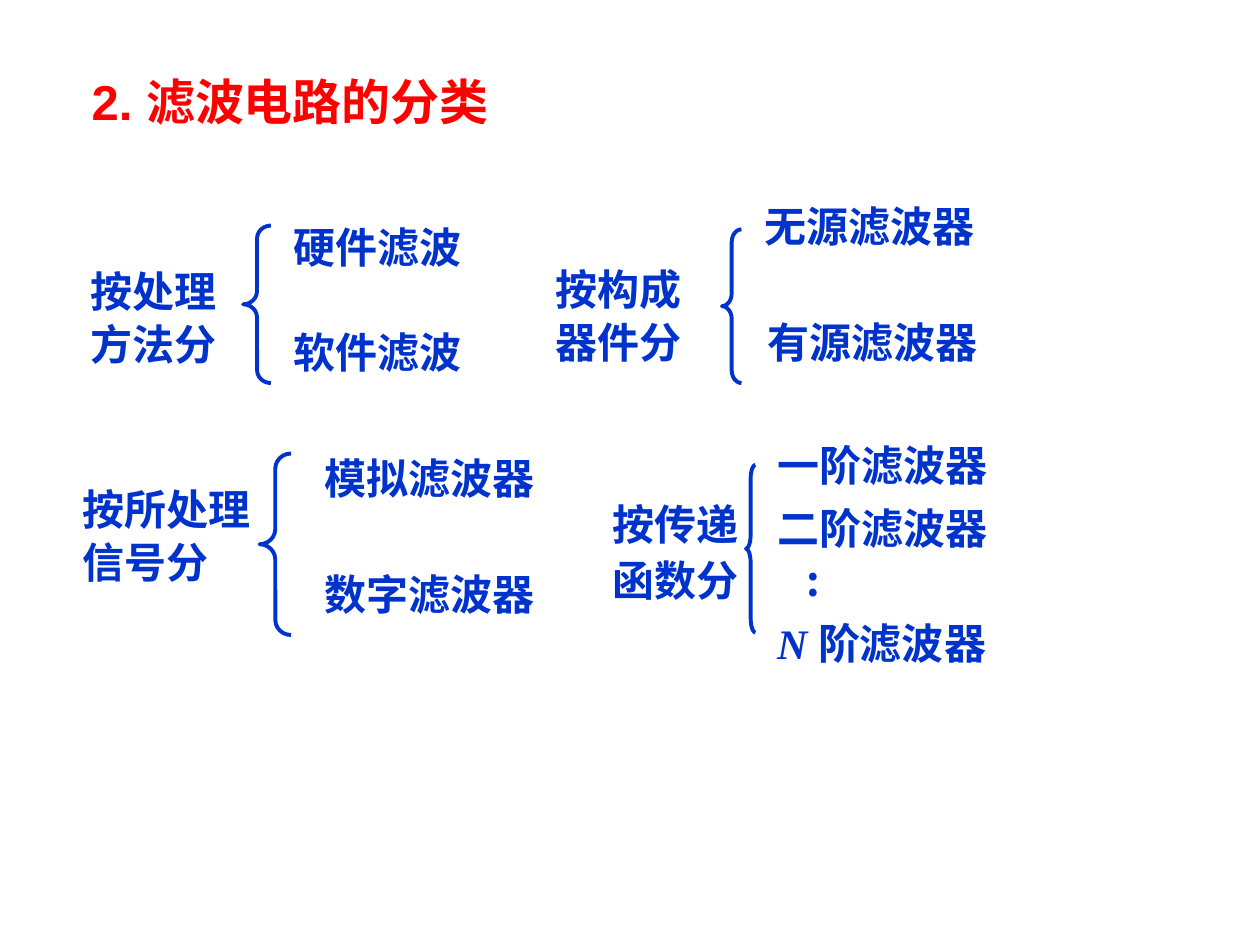
from dataclasses import dataclass

import pptx
import pptx.dml.color
import pptx.enum.shapes
import pptx.enum.text
import pptx.oxml
import pptx.oxml.ns
import pptx.util

# The slide is a grid of square cells
COLUMNS, ROWS = 100, 75
CELL = pptx.util.Inches(0.1)

COLORS = {"title": "FF0000", "body": "0033CC"}
CJK_FONT = "Noto Sans CJK SC"
LATIN_FONT = "Arial"
MATH_FONT = "Times New Roman"
LINE_ROWS = 5
BODY_SIZE = 24


@dataclass(frozen=True)
class Run:
    text: str
    font: str = CJK_FONT
    italic: bool = False


@dataclass(frozen=True)
class Item:
    """One line of text; several runs when the fonts differ."""
    runs: tuple[Run, ...]
    column: float
    row: float
    columns: float = 20
    wrap: bool = True


@dataclass(frozen=True)
class Label:
    lines: tuple[str, ...]
    column: float
    row: float
    columns: float
    rows: float = 9.4
    spacing: float = 1.05


@dataclass(frozen=True)
class Brace:
    column: float
    row: float
    columns: float
    rows: float


@dataclass(frozen=True)
class Category:
    label: Label
    brace: Brace
    items: tuple[Item, ...]


def item(text: str, column: float, row: float, columns: float = 20) -> Item:
    return Item((Run(text),), column, row, columns)


CATEGORIES = (
    Category(
        Label(("按处理", "方法分"), 6.2, 20.4, 16.9),
        Brace(19.3, 17.9, 2.2, 12.5),
        (item("硬件滤波", 22.3, 17.1, 18.3), item("软件滤波", 22.3, 25.4, 16.2)),
    ),
    Category(
        Label(("按所处理", "信号分"), 5.6, 37.7, 17.7),
        Brace(20.6, 36, 2.5, 14.4),
        (item("模拟滤波器", 24.8, 35.4), item("数字滤波器", 24.8, 44.6)),
    ),
    Category(
        Label(("按构成", "器件分"), 43.1, 20.2, 13.9),
        Brace(57.3, 18.2, 1.55, 12.2),
        (item("无源滤波器", 59.7, 15.4, 19.2), item("有源滤波器", 59.9, 24.6, 20.8)),
    ),
    Category(
        Label(("按传递", "函数分"), 47.6, 38.7, 13.1, 9.8, 1.1),
        Brace(59.2, 36.9, 0.75, 13.3),
        (
            item("一阶滤波器", 60.7, 34.4, 20.8),
            item("二阶滤波器", 60.7, 39.4, 19.2),
            Item((Run(":"),), 63, 43.5, 3.6, wrap=False),
            Item((Run("N ", MATH_FONT, True), Run("阶滤波器", MATH_FONT)), 60.7, 48.5),
        ),
    ),
)


def cells(*counts: float) -> list[int]:
    return [round(count * CELL) for count in counts]


def add_frame(slide, column: float, row: float, columns: float, rows: float, wrap: bool):
    frame = slide.shapes.add_textbox(*cells(column, row, columns, rows)).text_frame
    frame.word_wrap = wrap
    frame.auto_size = pptx.enum.text.MSO_AUTO_SIZE.SHAPE_TO_FIT_TEXT
    return frame


def add_run(paragraph, content: Run, color: str, size: float) -> None:
    run = paragraph.add_run()
    run.text = content.text
    formats = {
        "name": content.font,
        "size": pptx.util.Pt(size),
        "bold": True,
        "italic": content.italic,
    }
    for name, value in formats.items():
        setattr(run.font, name, value)
    run.font.color.rgb = pptx.dml.color.RGBColor.from_string(COLORS[color])
    # Chinese characters take their own typeface
    east_asian = pptx.oxml.parse_xml(
        f'<a:ea {pptx.oxml.ns.nsdecls("a")} typeface="{CJK_FONT}"/>'
    )
    run.font._element.find(pptx.oxml.ns.qn("a:latin")).addnext(east_asian)


def draw_item(slide, line: Item, color: str = "body", size: float = BODY_SIZE,
              rows: float = LINE_ROWS) -> None:
    frame = add_frame(slide, line.column, line.row, line.columns, rows, line.wrap)
    for run in line.runs:
        add_run(frame.paragraphs[0], run, color, size)


def draw_label(slide, label: Label) -> None:
    frame = add_frame(slide, label.column, label.row, label.columns, label.rows, True)
    for index, line in enumerate(label.lines):
        paragraph = frame.add_paragraph() if index else frame.paragraphs[0]
        paragraph.alignment = pptx.enum.text.PP_ALIGN.JUSTIFY
        paragraph.line_spacing = label.spacing
        add_run(paragraph, Run(line), "body", BODY_SIZE)


def draw_brace(slide, brace: Brace) -> None:
    shape = slide.shapes.add_shape(
        pptx.enum.shapes.MSO_SHAPE.LEFT_BRACE,
        *cells(brace.column, brace.row, brace.columns, brace.rows),
    )
    # Each curve takes a twelfth of the height
    shape.adjustments[0] = brace.rows / 12 / brace.columns
    shape.shadow.inherit = False
    shape.fill.background()
    shape.line.color.rgb = pptx.dml.color.RGBColor.from_string(COLORS["body"])
    shape.line.width = pptx.util.Pt(2.25)


def main() -> None:
    presentation = pptx.Presentation()
    presentation.slide_width = COLUMNS * CELL
    presentation.slide_height = ROWS * CELL
    slide = presentation.slides.add_slide(presentation.slide_layouts[6])

    # Title
    title = Item((Run("2. 滤波电路的分类", LATIN_FONT),), 6.3, 5.2, 34.4, wrap=False)
    draw_item(slide, title, "title", 28, 5.7)

    # Four ways of classifying
    for category in CATEGORIES:
        draw_label(slide, category.label)
        draw_brace(slide, category.brace)
        for line in category.items:
            draw_item(slide, line)

    presentation.save("out.pptx")


if __name__ == "__main__":
    main()
